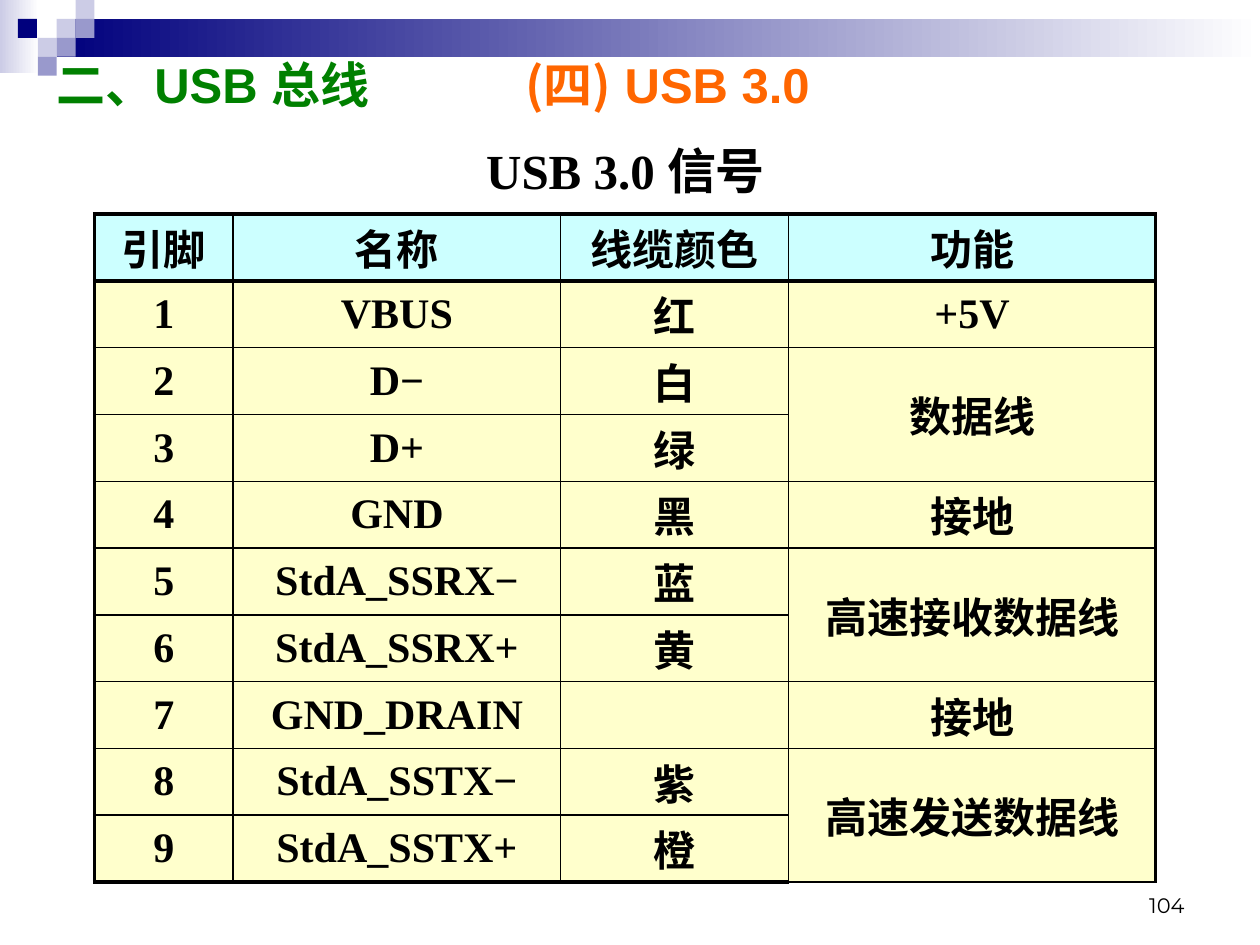
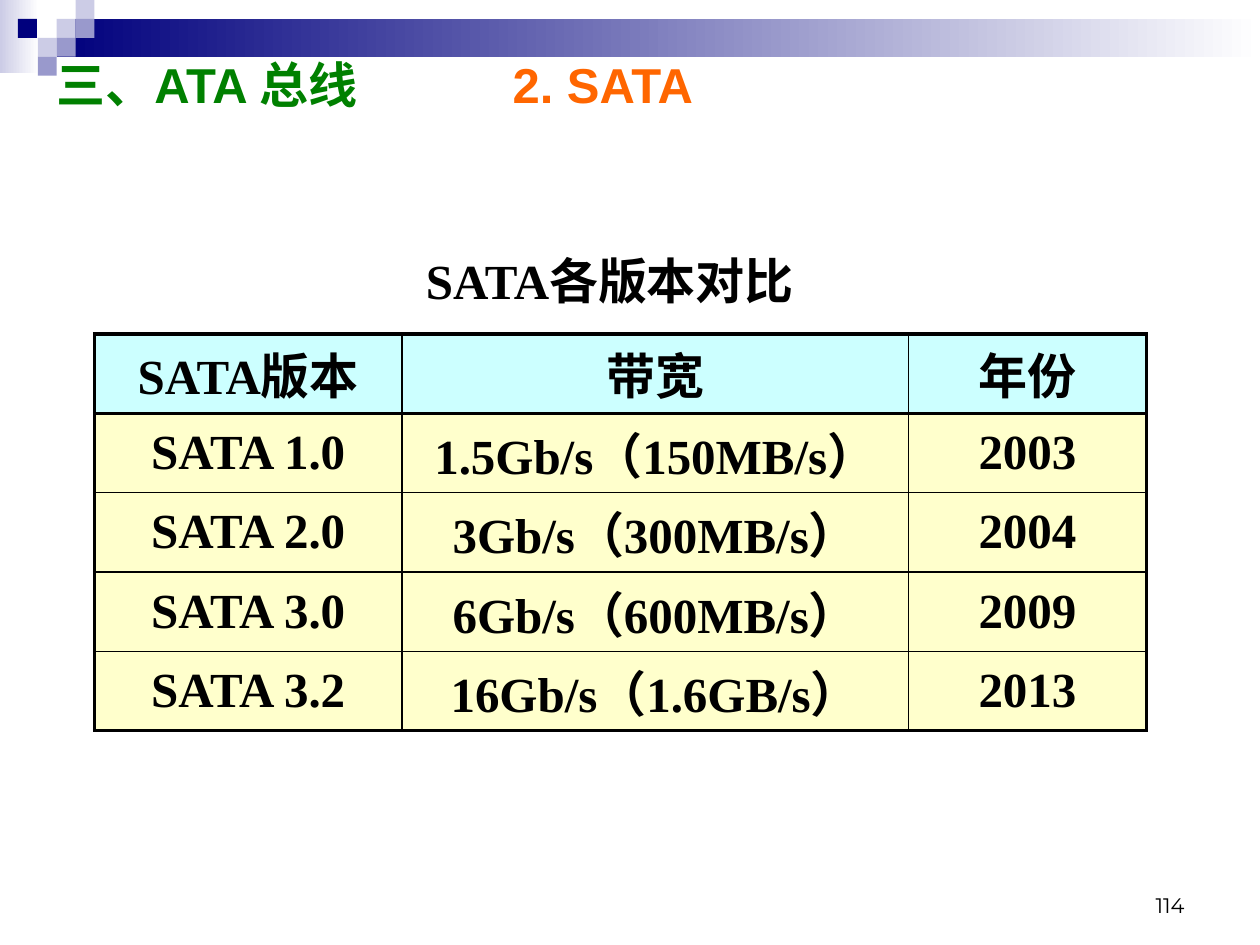
from dataclasses import dataclass

from lxml import etree
from pptx import Presentation
from pptx.dml.color import RGBColor
from pptx.enum import shapes, text
from pptx.oxml import ns
from pptx.util import Inches, Pt


@dataclass(frozen=True)
class Theme:
    navy: str = "00007D"
    lilac: str = "CCCCE6"
    violet: str = "9999CC"
    white: str = "FFFFFF"
    black: str = "000000"
    green: str = "008000"
    orange: str = "FF6600"
    header_fill: str = "CCFFFF"
    body_fill: str = "FFFFCC"
    heading_font: str = "Arial"
    body_font: str = "Times New Roman"
    number_font: str = "Montserrat"
    cjk_font: str = "Noto Sans CJK SC"
    heading_size: int = 28
    number_size: int = 12
    thick: float = 2.25
    thin: float = 1


THEME = Theme()
SUB = etree.SubElement


def write(paragraph, words, *, size=THEME.heading_size, font=THEME.body_font,
          color=THEME.black, bold=True, align=None):
    if align is not None:
        paragraph.alignment = align
    run = paragraph.add_run()
    run.text = words
    run.font.size = Pt(size)
    run.font.bold = bold
    run.font.color.rgb = RGBColor.from_string(color)
    run.font.name = font
    SUB(run.font._element, ns.qn("a:ea"), typeface=THEME.cjk_font)


def text_area(slide, box, anchor=text.MSO_ANCHOR.TOP):
    frame = slide.shapes.add_textbox(*map(Inches, box)).text_frame
    frame.word_wrap = True
    frame.vertical_anchor = anchor
    return frame.paragraphs[0]


def block(slide, box, *colors):
    square = slide.shapes.add_shape(shapes.MSO_SHAPE.RECTANGLE, *map(Inches, box))
    square.shadow.inherit = False
    square.line.fill.background()
    if len(colors) == 1:
        square.fill.solid()
        square.fill.fore_color.rgb = RGBColor.from_string(colors[0])
        return
    square.fill.gradient()
    square.fill.gradient_angle = 0
    for position, (stop, color) in enumerate(zip(square.fill.gradient_stops, colors)):
        stop.position = position
        stop.color.rgb = RGBColor.from_string(color)


def draw_band(slide, left=0, top=0, width=10):
    step = 0.15
    block(slide, (left, top, 0.31, 0.58), THEME.lilac, THEME.white)
    block(slide, (left + 3 * step, top + step, width - 3 * step, 2 * step),
          THEME.navy, THEME.white)
    mosaic = [(3, 1, THEME.lilac), (4, 0, THEME.lilac), (4, 1, THEME.violet),
              (2, 2, THEME.lilac), (0.95, 1, THEME.navy), (3, 2, THEME.violet),
              (2, 3, THEME.violet)]
    for column, row, color in mosaic:
        block(slide, (left + column * step, top + row * step, step, step), color)


def draw_heading(slide, box, chapter, topic, topic_left):
    line = text_area(slide, box, text.MSO_ANCHOR.MIDDLE)
    tabs = SUB(line._p.get_or_add_pPr(), ns.qn("a:tabLst"))
    SUB(tabs, ns.qn("a:tab"), pos=str(Inches(topic_left)), algn="l")
    write(line, chapter + "\t", font=THEME.heading_font, color=THEME.green)
    for words, font in topic:
        write(line, words, font=font, color=THEME.orange)


def draw_page_number(slide, box, number):
    write(text_area(slide, box, text.MSO_ANCHOR.BOTTOM), str(number),
          size=THEME.number_size, font=THEME.number_font, bold=False,
          align=text.PP_ALIGN.RIGHT)


def set_borders(cell, widths):
    properties = cell._tc.get_or_add_tcPr()
    for index, (side, width) in enumerate(widths.items()):
        edge = etree.Element(ns.qn(f"a:ln{side}"), w=str(Pt(width)))
        fill = SUB(edge, ns.qn("a:solidFill"))
        SUB(fill, ns.qn("a:srgbClr"), val=THEME.black)
        properties.insert(index, edge)


def draw_table(slide, left, top, widths, row_height, rows, size):
    last_row, last_column = len(rows) - 1, len(widths) - 1
    grid = slide.shapes.add_table(
        len(rows), len(widths), Inches(left), Inches(top),
        Inches(sum(widths)), Inches(row_height * len(rows))).table
    grid.first_row = grid.horz_banding = False
    for column, width in zip(grid.columns, widths):
        column.width = Inches(width)

    def weight(outer):
        return THEME.thick if outer else THEME.thin

    for r, row in enumerate(rows):
        grid.rows[r].height = Inches(row_height)
        for c, words in enumerate(row):
            cell = grid.cell(r, c)
            cell.vertical_anchor = text.MSO_ANCHOR.MIDDLE
            cell.margin_left = cell.margin_right = Inches(0.07)
            cell.margin_top = cell.margin_bottom = 0
            cell.fill.solid()
            cell.fill.fore_color.rgb = RGBColor.from_string(
                THEME.body_fill if r else THEME.header_fill)
            set_borders(cell, {"L": weight(c == 0), "R": weight(c == last_column),
                               "T": weight(r < 2), "B": weight(r in (0, last_row))})
            if words:
                write(cell.text_frame.paragraphs[0], words, size=size,
                      align=text.PP_ALIGN.CENTER)
            elif words is None:
                grid.cell(r - 1, c).merge(cell)


def table_slide(deck, number, chapter, topic, topic_left, caption, caption_box, **table):
    slide = deck.slides.add_slide(deck.slide_layouts[6])
    draw_band(slide)
    draw_heading(slide, (0.35, 0.42, 9.45, 0.49), chapter, topic, topic_left)
    draw_page_number(slide, (7.17, 6.98, 2.33, 0.35), number)
    write(text_area(slide, caption_box), caption, align=text.PP_ALIGN.CENTER)
    draw_table(slide, left=0.75, **table)


USB_SIGNALS = [
    ("引脚", "名称", "线缆颜色", "功能"),
    ("1", "VBUS", "红", "+5V"),
    ("2", "D−", "白", "数据线"),
    ("3", "D+", "绿", None),
    ("4", "GND", "黑", "接地"),
    ("5", "StdA_SSRX−", "蓝", "高速接收数据线"),
    ("6", "StdA_SSRX+", "黄", None),
    ("7", "GND_DRAIN", "", "接地"),
    ("8", "StdA_SSTX−", "紫", "高速发送数据线"),
    ("9", "StdA_SSTX+", "橙", None),
]
SATA_VERSIONS = [
    ("SATA版本", "带宽", "年份"),
    ("SATA 1.0", "1.5Gb/s（150MB/s）", "2003"),
    ("SATA 2.0", "3Gb/s（300MB/s）", "2004"),
    ("SATA 3.0", "6Gb/s（600MB/s）", "2009"),
    ("SATA 3.2", "16Gb/s（1.6GB/s）", "2013"),
]


def main():
    deck = Presentation()
    deck.slide_width, deck.slide_height = Inches(10), Inches(7.5)
    table_slide(deck, 104, "二、USB 总线",
                [("(四)", THEME.cjk_font), (" USB 3.0", THEME.heading_font)], 3.72,
                "USB 3.0 信号", (0.75, 1.07, 8.43, 0.47),
                top=1.7, widths=(1.1, 2.6, 1.81, 2.91), row_height=0.53,
                rows=USB_SIGNALS, size=24)
    table_slide(deck, 114, "三、ATA 总线", [("2. SATA", THEME.heading_font)], 3.62,
                "SATA各版本对比", (1.53, 1.94, 6.62, 0.63),
                top=2.65, widths=(2.44, 4.02, 1.89), row_height=0.63,
                rows=SATA_VERSIONS, size=28)
    deck.save("out.pptx")


if __name__ == "__main__":
    main()
